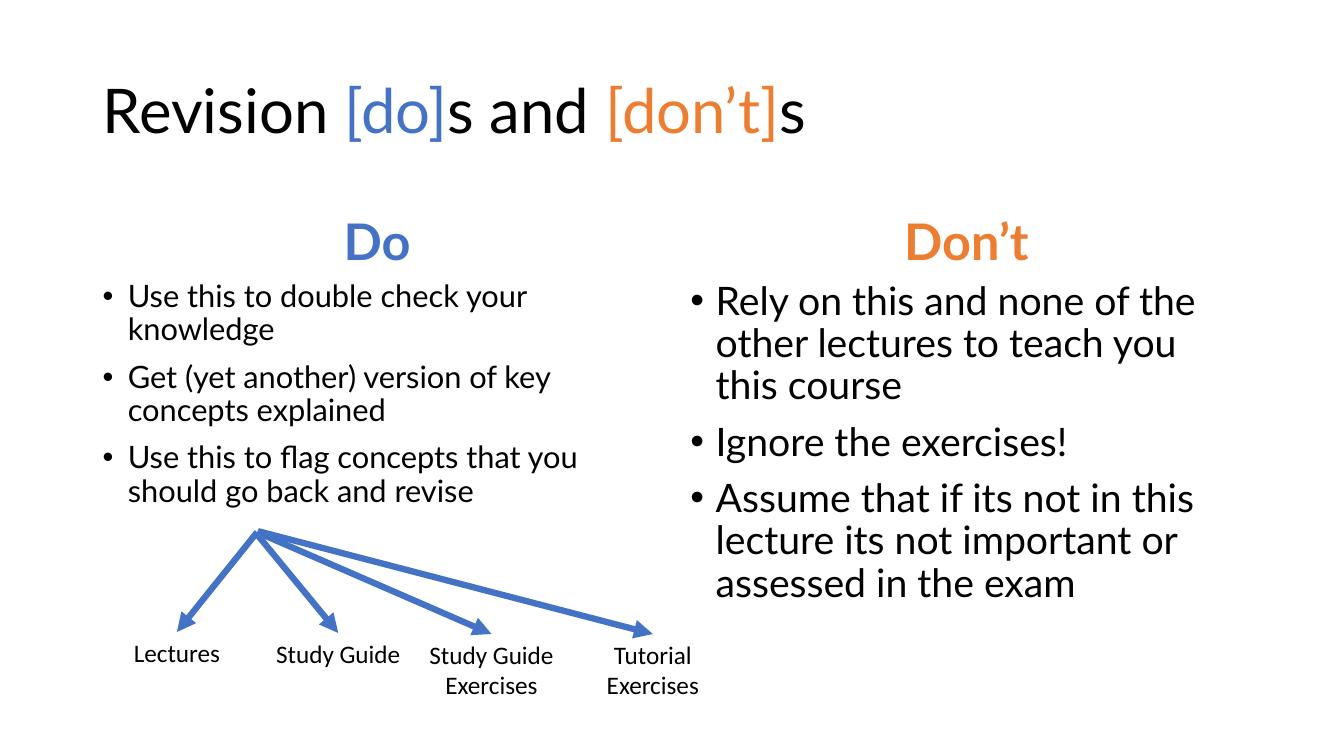
"""Builds the slide on revision dos and don'ts."""
from lxml.etree import SubElement
from pptx import Presentation
from pptx.dml.color import RGBColor
from pptx.enum.shapes import MSO_CONNECTOR
from pptx.enum.text import MSO_ANCHOR, PP_ALIGN
from pptx.oxml.ns import qn
from pptx.util import Pt

PX = 9144
COLORS = {"text": "000000", "do": "4472C4", "dont": "ED7D31"}

TITLE = [("Revision ", "text"), ("[do]", "do"), ("s and ", "text"),
         ("[don’t]", "dont"), ("s", "text")]
COLUMNS = [
    {"left": 92, "width": 564, "heading": "Do", "color": "do", "size": 22,
     "points": ["Use this to double check your knowledge",
                "Get (yet another) version of key concepts explained",
                "Use this to flag concepts that you should go back and revise"]},
    {"left": 675, "width": 567, "heading": "Don’t", "color": "dont", "size": 28,
     "points": ["Rely on this and none of the other lectures to teach you this course",
                "Ignore the exercises!",
                "Assume that if its not in this lecture its not important or assessed in the exam"]},
]
SOURCES = [("Lectures", (95, 627), 40, (255, 528)),
           ("Study Guide", (255, 628), 71, (254, 529)),
           ("Study Guide Exercises", (407, 629), 71, (255, 528)),
           ("Tutorial Exercises", (567, 629), 71, (256, 527))]
SOURCE_WIDTH = 161
BODY = {"line_spacing": 0.9, "space_before": Pt(10)}
HEADING = {**BODY, "alignment": PP_ALIGN.CENTER}


def rgb(name):
    return RGBColor.from_string(COLORS[name])


def assign(target, values):
    for name, value in values.items():
        setattr(target, name, value)


def add_text(s, box, paragraphs, size, fmt, anchor=MSO_ANCHOR.TOP,
             font="Lato", bold=False, bullet=False):
    sp = s.shapes.add_textbox(*(v * PX for v in box))
    tf = sp.text_frame
    assign(tf, {"word_wrap": True, "vertical_anchor": anchor})
    for i, runs in enumerate(paragraphs):
        p = tf.add_paragraph() if i else tf.paragraphs[0]
        assign(p, fmt)
        if bullet:
            pPr = p._p.get_or_add_pPr()
            pPr.set("marL", str(25 * PX))
            pPr.set("indent", str(-25 * PX))
            SubElement(pPr, qn("a:buFont"), typeface="Arial")
            SubElement(pPr, qn("a:buChar"), char="•")
        for text, color in runs:
            r = p.add_run()
            r.text = text
            assign(r.font, {"name": font, "size": Pt(size), "bold": bold})
            r.font.color.rgb = rgb(color)
    return sp


def add_arrow(s, start, label):
    x, y = (v * PX for v in start)
    c = s.shapes.add_connector(MSO_CONNECTOR.STRAIGHT, x, y, x, y)
    c.end_connect(label, 0)
    c.line.color.rgb = rgb("do")
    c.line.width = Pt(4.5)
    SubElement(c.line._get_or_add_ln(), qn("a:tailEnd"), type="triangle")
    SubElement(c._element.spPr, qn("a:effectLst"))


def main():
    prs = Presentation()
    assign(prs, {"slide_width": 1333 * PX, "slide_height": 750 * PX})
    s = prs.slides.add_slide(prs.slide_layouts[6])
    add_text(s, (92, 40, 1150, 145), [TITLE], 44, {"line_spacing": 0.9}, MSO_ANCHOR.MIDDLE)
    for col in COLUMNS:
        left, width = col["left"], col["width"]
        add_text(s, (left, 184, width, 90), [[(col["heading"], col["color"])]],
                 36, HEADING, MSO_ANCHOR.BOTTOM, bold=True)
        add_text(s, (left, 274, width, 403), [[(t, "text")] for t in col["points"]],
                 col["size"], BODY, bullet=True)
    for text, (left, top), height, start in SOURCES:
        label = add_text(s, (left, top, SOURCE_WIDTH, height), [[(text, "text")]], 18,
                         {"alignment": PP_ALIGN.CENTER}, font="Calibri")
        add_arrow(s, start, label)
    prs.save("out.pptx")


if __name__ == "__main__":
    main()
